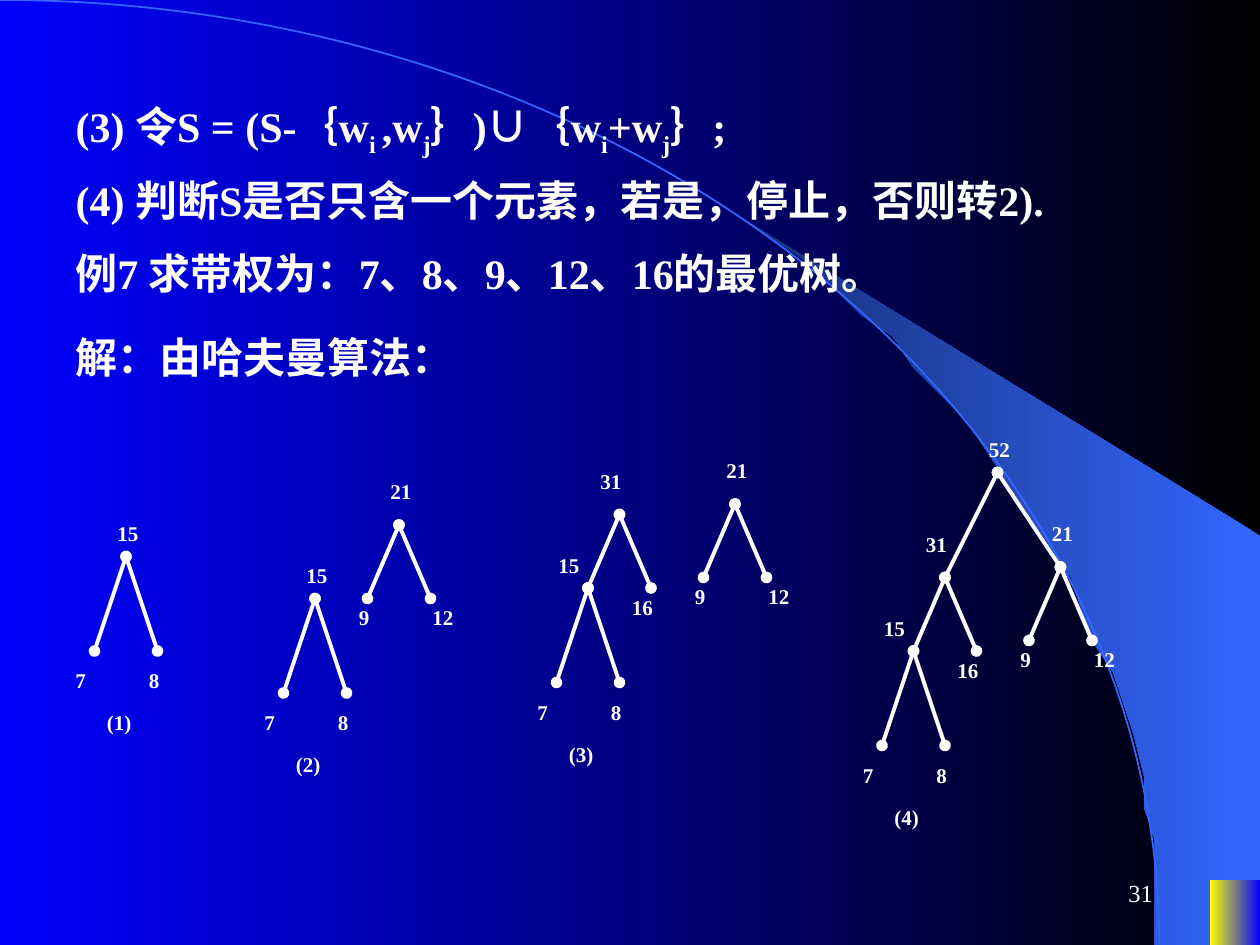
from math import acos, cos, sin

from lxml.etree import SubElement
from pptx import Presentation
from pptx.dml.color import RGBColor
from pptx.enum.shapes import MSO_CONNECTOR, MSO_SHAPE
from pptx.enum.text import MSO_ANCHOR, MSO_AUTO_SIZE, PP_ALIGN
from pptx.oxml.ns import qn
from pptx.util import Inches, Pt

COLUMNS, ROWS = 120, 90
CELL = Inches(10) // COLUMNS
LATIN, HAN = "Times New Roman", "Noto Sans CJK SC"
WHITE, BLUE, AZURE = "FFFFFF", "0000FF", "3366FF"


def color(value):
    return RGBColor.from_string(value)


def cells(*lengths):
    return [round(length * CELL) for length in lengths]


def fade(fill, right, left):
    fill.gradient()
    fill.gradient_angle = 180
    for stop, value in zip(fill.gradient_stops, (right, left)):
        stop.color.rgb = color(value)


def style(span, size, bold=True, font=LATIN):
    span.font.name, span.font.size, span.font.bold = font, Pt(size), bold
    span.font.color.rgb = color(WHITE)
    SubElement(span.font._element, qn("a:ea")).set("typeface", HAN)


def add_text(parent, box, text, size, bold=True):
    frame = parent.shapes.add_textbox(*cells(*box)).text_frame
    frame.word_wrap = True
    frame.auto_size = MSO_AUTO_SIZE.SHAPE_TO_FIT_TEXT
    frame.text = text
    for span in frame.paragraphs[0].runs:
        style(span, size, bold)
    return frame


def add_backdrop(page, width, height):
    """Fading ground, big arc with a beam outside it, and the corner tile."""
    fade(page.background.fill, "000000", BLUE)
    radius_x, radius_y = 0.92 * width, 0.998 * height
    edge, beam_left, beam_top = 0.999 * width, 0.589 * width, 0.564 * height

    start, steps = acos(beam_left / radius_x), 24
    angles = [start * (1 - step / steps) for step in range(steps + 1)]
    curve = [(radius_x * cos(a), radius_y * (1 - sin(a))) for a in angles]
    builder = page.shapes.build_freeform(edge, radius_y, scale=CELL)
    builder.add_line_segments([(edge, beam_top)] + curve)
    beam = builder.convert_to_shape()
    fade(beam.fill, AZURE, "172F75")

    arc = page.shapes.add_shape(
        MSO_SHAPE.ARC, *cells(-radius_x, 0, 2 * radius_x, 2 * radius_y))
    arc.fill.background()
    arc.line.color.rgb = color(AZURE)
    arc.line.width = Pt(1)

    tile = page.shapes.add_shape(
        MSO_SHAPE.RECTANGLE,
        *cells(0.96 * width, 0.931 * height, 0.04 * width, 0.069 * height))
    fade(tile.fill, BLUE, "FFFF00")
    for shape in (beam, tile):
        shape.line.fill.background()
    for shape in (beam, arc, tile):
        shape.shadow.inherit = False


def add_statements(page, left, width):
    """Algorithm steps and the example; numbered steps hang one column out."""
    formula = ["(3) 令S = (S-｛w", "i ", ",w", "j", "｝)", "∪",
               "｛w", "i", "+w", "j", "｝;"]
    frame = add_text(page, (left - 1, 9, width, 6.7), "", 24)
    para = frame.paragraphs[0]
    for text in formula:
        span = para.add_run()
        span.text = text
        style(span, 24, font=HAN if text == "∪" else LATIN)
        if text.strip() in ("i", "j"):
            span.font._element.set("baseline", "-25000")

    step = add_text(page, (left - 1, 16, width, 6),
                    "(4) 判断S是否只含一个元素，若是，停止，否则转2).", 24)
    for numbered in (frame, step):
        numbered.margin_left += CELL
    add_text(page, (left, 23, width, 6),
             "例7 求带权为：7、8、9、12、16的最优树。", 24)
    add_text(page, (left, 31, width, 6), "解：由哈夫曼算法：", 24)


def add_branch(group, start, end):
    branch = group.shapes.add_connector(
        MSO_CONNECTOR.STRAIGHT, *cells(*start, *end))
    branch.line.color.rgb = color(WHITE)
    branch.line.width = Pt(2.25)
    for tag in ("a:headEnd", "a:tailEnd"):
        SubElement(branch.line._ln, qn(tag)).set("type", "oval")
    SubElement(branch._element.spPr, qn("a:effectLst"))


def add_fork(group, node, drop, labels):
    """Two branches below node; labels are (text, column, row) from node."""
    x, y = node
    for side in (-3, 3):
        add_branch(group, node, (x + side, y + drop))
    for text, column, row in labels:
        width = 4.2 if text in ("7", "8") else 6
        add_text(group, (x + column, y + row, width, 3.6), text, 12)


def add_step(page, number, node15, node21=None, joined=False, root=None):
    """One stage of the merging, placed by its inner nodes."""
    group = page.shapes.add_group_shape()
    x, y = node15
    add_fork(group, node15, 9, [
        ("7", -6, 10), ("8", 1, 10), ("15", -4 if joined else -2, -4),
        (f"({number})", -3, 14)])
    if node21:
        add_fork(group, node21, 7, [("9", -5, 7), ("12", 2, 7), ("21", -2, -5)])
    node31 = (x + 3, y - 7)
    if joined:
        add_fork(group, node31, 7, [("16", 0, 7), ("31", -3, -5)])
    if root:
        for child in (node31, node21):
            add_branch(group, root, child)
        add_text(group, (root[0] - 2, root[1] - 4, 6, 3.6), "52", 12)


def add_page_number(page, box):
    frame = add_text(page, box, "31", 14, bold=False)
    frame.auto_size = MSO_AUTO_SIZE.NONE
    frame.vertical_anchor = MSO_ANCHOR.MIDDLE
    frame.paragraphs[0].alignment = PP_ALIGN.RIGHT


def main():
    deck = Presentation()
    deck.slide_width, deck.slide_height = cells(COLUMNS, ROWS)
    page = deck.slides.add_slide(deck.slide_layouts[6])
    add_backdrop(page, COLUMNS, ROWS)
    add_statements(page, 6, 105)
    add_step(page, 1, (12, 53))
    add_step(page, 2, (30, 57), (38, 50))
    add_step(page, 3, (56, 56), (70, 48), joined=True)
    add_step(page, 4, (87, 62), (101, 54), joined=True, root=(95, 45))
    add_page_number(page, (86, 82, 25, 6))
    deck.save("out.pptx")


if __name__ == "__main__":
    main()
